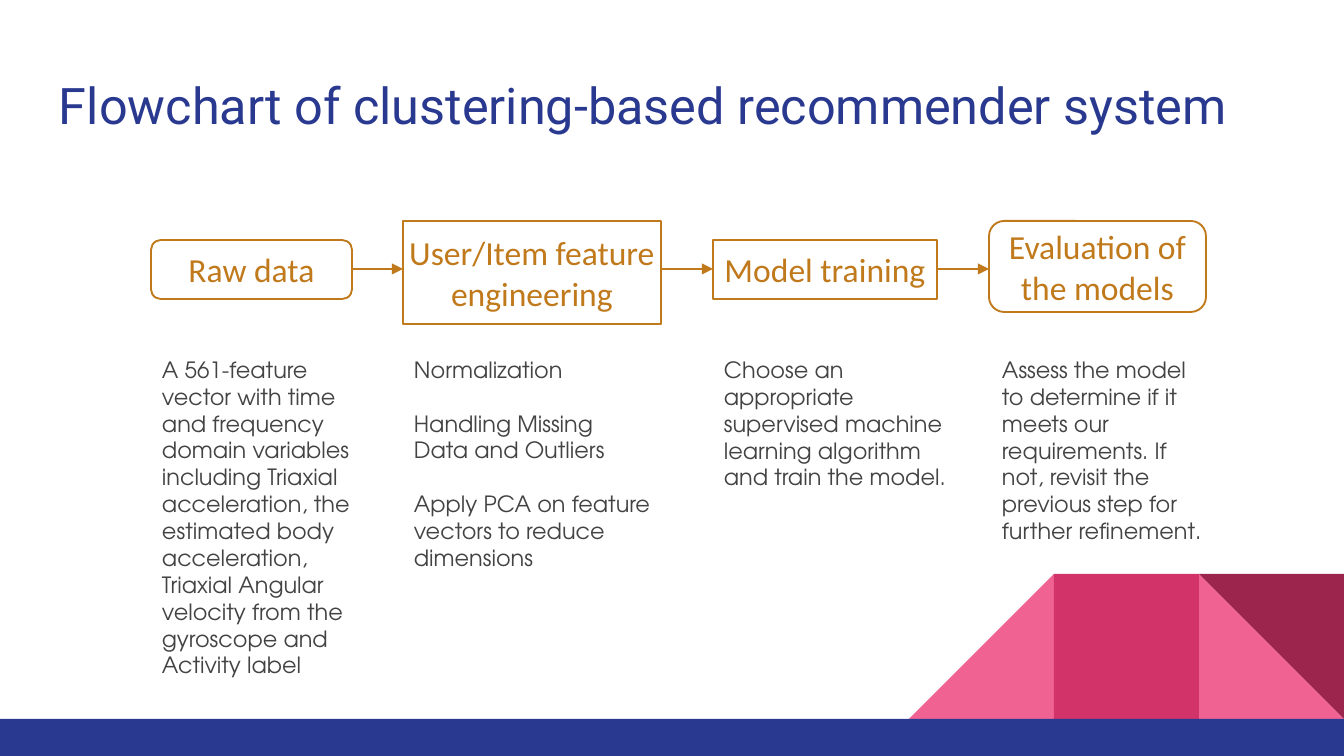
from lxml.etree import SubElement
from pptx import Presentation
from pptx.dml.color import RGBColor
from pptx.enum.shapes import MSO_CONNECTOR as CONNECTOR, MSO_SHAPE as SHAPE
from pptx.enum.text import MSO_ANCHOR as ANCHOR, MSO_AUTO_SIZE as AUTO_SIZE, PP_ALIGN as ALIGN
from pptx.oxml.ns import qn
from pptx.util import Emu, Pt

NAVY = RGBColor(0x2A, 0x39, 0x90)
PINK = RGBColor(0xF0, 0x62, 0x92)
ROSE = RGBColor(0xD2, 0x33, 0x69)
WINE = RGBColor(0x9C, 0x25, 0x4D)
OCHRE = RGBColor(0xC0, 0x79, 0x1B)
GRAY = RGBColor(0x43, 0x43, 0x43)

PX_PER_INCH = 134.4
PAGE_WIDTH, PAGE_HEIGHT = 1344, 756
BAR_TOP = 719
TILE = 145
FLOW_Y = 269

STEPS = [
    (SHAPE.ROUNDED_RECTANGLE, (151, 240, 201, 59), 13, "Raw data"),
    (SHAPE.RECTANGLE, (403, 221, 258, 103), 0, "User/Item feature engineering"),
    (SHAPE.RECTANGLE, (713, 240, 224, 59), 0, "Model training"),
    (SHAPE.ROUNDED_RECTANGLE, (989, 221, 217, 91), 0, "Evaluation of the models"),
]
NOTES = [
    ((162, 343, 218, 276), 0, [
        "A 561-feature vector with time and frequency domain variables including "
        "Triaxial acceleration, the estimated body acceleration, Triaxial Angular "
        "velocity from the gyroscope and Activity label"]),
    ((414, 343, 238, 251), 0, [
        "Normalization",
        "Handling Missing Data and Outliers",
        "Apply PCA on feature vectors to reduce dimensions"]),
    ((724, 343, 225, 233), 0, [
        "Choose an appropriate supervised machine learning algorithm and train the model."]),
    ((989, 343, 238, 233), 13, [
        "Assess the model to determine if it meets our requirements. If not, revisit "
        "the previous step for further refinement."]),
]


def px(length):
    return Emu(round(length * 914400 / PX_PER_INCH))


def write(shape, paragraphs, font, size, color, insets, anchor=ANCHOR.TOP,
          align=ALIGN.LEFT, gap=0):
    frame = shape.text_frame
    frame.word_wrap = True
    frame.auto_size = AUTO_SIZE.NONE
    frame.vertical_anchor = anchor
    frame.margin_left = frame.margin_right = px(insets[0])
    frame.margin_top = frame.margin_bottom = px(insets[1])
    frame.text = "\n".join(paragraphs)
    for index, para in enumerate(frame.paragraphs):
        para.alignment = align
        para.line_spacing = 1.0
        para.space_before = Pt(gap if index else 0)
        para.font.name = font
        para.font.size = Pt(size)
        para.font.color.rgb = color


def add_title(page, text):
    title = page.shapes.title
    title.left, title.top, title.width, title.height = map(px, (46, 61, 1252, 89))
    write(title, [text], "Roboto", 27, NAVY, (13, 13))


def add_block(page, kind, box, color, rotation=0, mirrored=False):
    block = page.shapes.add_shape(kind, *map(px, box))
    block.shadow.inherit = False
    block.fill.solid()
    block.fill.fore_color.rgb = color
    block.line.fill.background()
    block.rotation = rotation
    if mirrored:
        block.element.spPr.xfrm.set("flipH", "1")


def add_decoration(page):
    top = BAR_TOP - TILE
    left, middle, right = (PAGE_WIDTH - count * TILE for count in (3, 2, 1))
    add_block(page, SHAPE.RIGHT_TRIANGLE, (right, top, TILE, TILE), PINK)
    add_block(page, SHAPE.RIGHT_TRIANGLE, (left, top, TILE, TILE), PINK, mirrored=True)
    add_block(page, SHAPE.RECTANGLE, (middle, top, TILE, TILE), ROSE)
    add_block(page, SHAPE.RIGHT_TRIANGLE, (right, top, TILE, TILE), WINE, rotation=180)
    add_block(page, SHAPE.RECTANGLE,
              (0, BAR_TOP, PAGE_WIDTH, PAGE_HEIGHT - BAR_TOP), NAVY)


def add_step(page, kind, box, side_inset, label):
    step = page.shapes.add_shape(kind, *map(px, box))
    step.shadow.inherit = False
    step.fill.background()
    step.line.color.rgb = OCHRE
    step.line.width = Pt(1)
    write(step, [label], "Calibri", 18, OCHRE, (side_inset, 7), ANCHOR.MIDDLE, ALIGN.CENTER)


def add_arrow(page, start, end):
    arrow = page.shapes.add_connector(
        CONNECTOR.STRAIGHT, px(start), px(FLOW_Y), px(end), px(FLOW_Y))
    arrow.line.color.rgb = OCHRE
    arrow.line.width = Pt(1.25)
    SubElement(arrow.line._get_or_add_ln(), qn("a:tailEnd"), type="triangle")
    SubElement(arrow.element.spPr, qn("a:effectLst"))


def add_note(page, box, side_inset, paragraphs):
    note = page.shapes.add_textbox(*map(px, box))
    write(note, paragraphs, "TeX Gyre Adventor", 12, GRAY, (side_inset, 13), gap=14.4)


def main():
    deck = Presentation()
    deck.slide_width, deck.slide_height = px(PAGE_WIDTH), px(PAGE_HEIGHT)
    page = deck.slides.add_slide(deck.slide_layouts.get_by_name("Title Only"))
    add_decoration(page)
    add_title(page, "Flowchart of clustering-based recommender system")
    for note in NOTES:
        add_note(page, *note)
    for step in STEPS:
        add_step(page, *step)
    boxes = [step[1] for step in STEPS]
    for source, target in zip(boxes, boxes[1:]):
        add_arrow(page, source[0] + source[2], target[0])
    deck.save("out.pptx")


if __name__ == "__main__":
    main()
